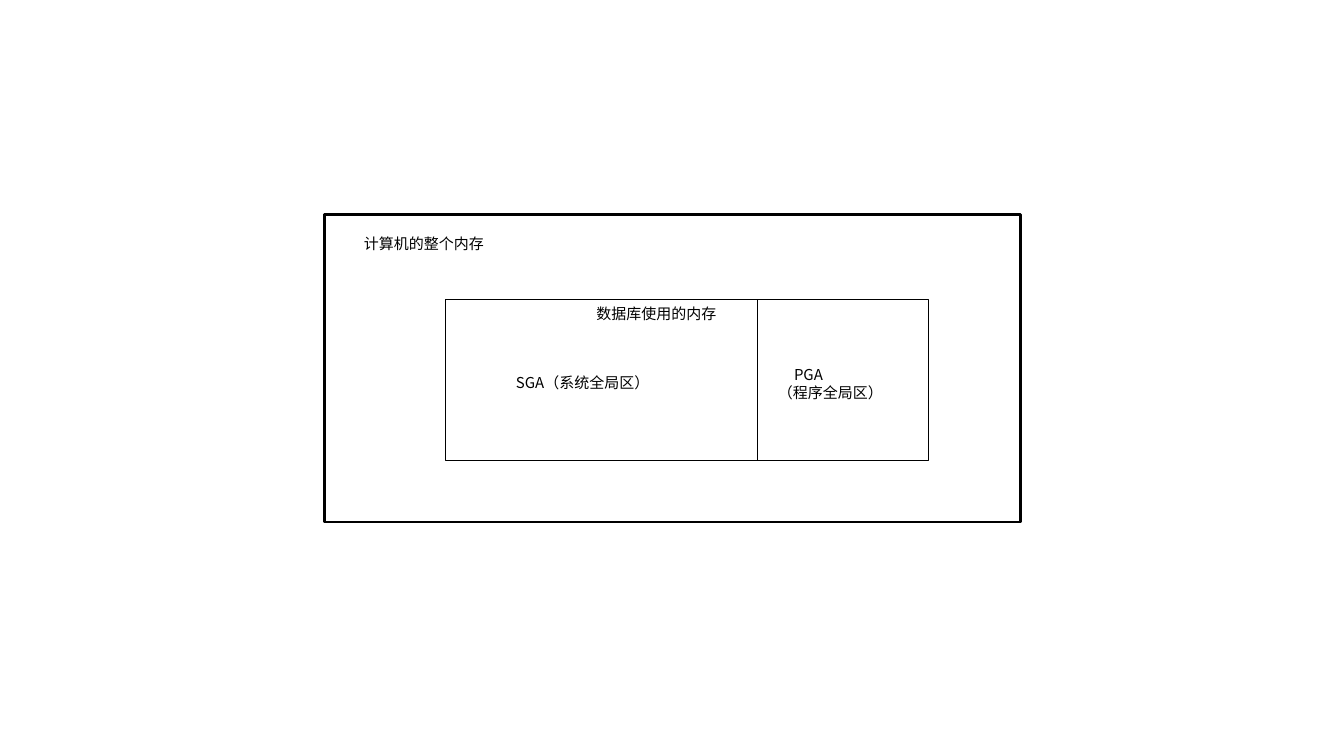
from lxml import etree
from pptx import Presentation
from pptx.dml.color import RGBColor
from pptx.enum import shapes, text
from pptx.oxml.ns import qn
from pptx.util import Cm, Pt

BLACK = RGBColor(0x00, 0x00, 0x00)
WHITE = RGBColor(0xFF, 0xFF, 0xFF)
FONT = "Noto Sans CJK SC"
THIN, THICK = Pt(0.75), Pt(2)

MEMORY_LEFT, MEMORY_TOP, MEMORY_WIDTH, MEMORY_HEIGHT = 8.41, 5.56, 18.01, 7.95
USED_LEFT, USED_TOP, USED_WIDTH, USED_HEIGHT = 11.53, 7.75, 12.52, 4.17
DIVIDER_LEFT = 19.61


def add_area(slide, left, top, width, height, line_width):
    shape = slide.shapes.add_shape(
        shapes.MSO_SHAPE.RECTANGLE, Cm(left), Cm(top), Cm(width), Cm(height))
    shape.shadow.inherit = False
    shape.fill.solid()
    shape.fill.fore_color.rgb = WHITE
    shape.line.color.rgb = BLACK
    shape.line.width = line_width


def add_divider(slide, left, top, height):
    connector = slide.shapes.add_connector(
        shapes.MSO_CONNECTOR.STRAIGHT,
        Cm(left), Cm(top), Cm(left), Cm(top + height))
    connector.line.color.rgb = BLACK
    connector.line.width = THIN
    properties = connector._element.spPr
    etree.SubElement(properties, qn("a:effectLst"))


def format_run(run):
    run.font.name = FONT
    run.font.size = Pt(11)
    run.font.color.rgb = BLACK
    east_asian = etree.SubElement(run.font._element, qn("a:ea"))
    east_asian.set("typeface", FONT)


def add_label(slide, wording, left, top, width, height=0.74):
    box = slide.shapes.add_textbox(Cm(left), Cm(top), Cm(width), Cm(height))
    frame = box.text_frame
    frame.word_wrap = True
    frame.vertical_anchor = text.MSO_ANCHOR.MIDDLE
    frame.text = wording
    for paragraph in frame.paragraphs:
        paragraph.line_spacing = Pt(13.2)
        for run in paragraph.runs:
            format_run(run)
    return frame


def main():
    presentation = Presentation()
    presentation.slide_width = Cm(34.8)
    presentation.slide_height = Cm(19.05)
    slide = presentation.slides.add_slide(presentation.slide_layouts[6])

    add_area(slide, MEMORY_LEFT, MEMORY_TOP, MEMORY_WIDTH, MEMORY_HEIGHT, THICK)
    add_label(slide, "计算机的整个内存", 9.17, 5.94, 4.95)

    add_area(slide, USED_LEFT, USED_TOP, USED_WIDTH, USED_HEIGHT, THIN)
    add_divider(slide, DIVIDER_LEFT, USED_TOP, USED_HEIGHT)
    add_label(slide, "SGA（系统全局区）", 13.11, 9.53, 4.7)
    add_label(slide, "数据库使用的内存", 15.19, USED_TOP, 4.95)

    program_area = add_label(slide, "PGA\n（程序全局区）", 19.89, 9.32, 4.17, 1.19)
    indent = program_area.paragraphs[0]._p.get_or_add_pPr()
    indent.set("indent", str(Cm(0.42)))

    presentation.save("out.pptx")


if __name__ == "__main__":
    main()
